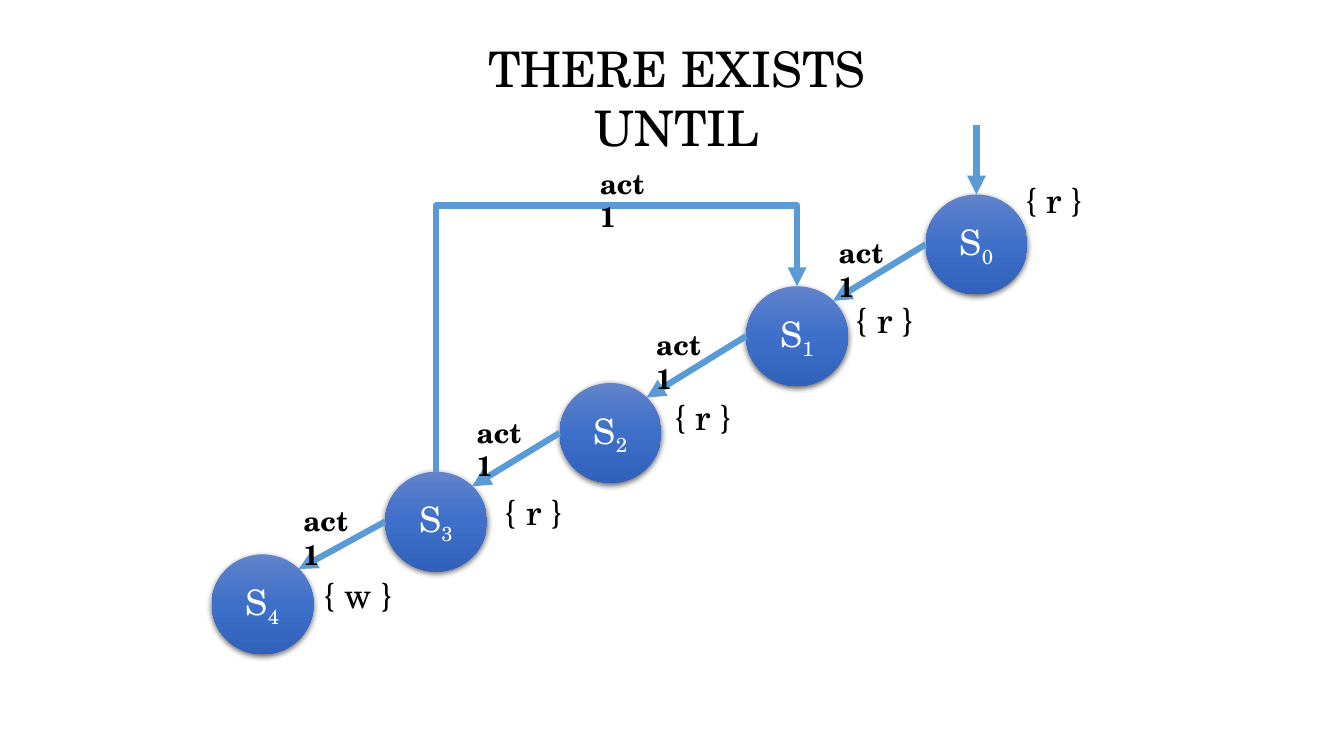
"""Builds a slide of a state chain that shows the 'there exists until' path."""
from dataclasses import dataclass
from math import sqrt

from lxml import etree
from pptx import Presentation
from pptx.dml.color import RGBColor
from pptx.enum.shapes import MSO_CONNECTOR, MSO_SHAPE
from pptx.enum.text import MSO_ANCHOR, MSO_AUTO_SIZE, PP_ALIGN
from pptx.oxml.ns import qn
from pptx.util import Inches, Pt

LINE, ELBOW = MSO_CONNECTOR.STRAIGHT, MSO_CONNECTOR.ELBOW
OVAL = MSO_SHAPE.OVAL
TOP, MIDDLE = MSO_ANCHOR.TOP, MSO_ANCHOR.MIDDLE
LEFT, CENTER = PP_ALIGN.LEFT, PP_ALIGN.CENTER
GROW = MSO_AUTO_SIZE.SHAPE_TO_FIT_TEXT

TITLE = ("THERE EXISTS UNTIL", (3.9, 0.33, 5.63, 0.69))
STATES = [
    ("0", (9.18, 1.93), "{ r }", (10.07, 1.72, 0.92)),
    ("1", (7.4, 2.84), "{ r }", (8.39, 2.91, 0.92)),
    ("2", (5.55, 3.8), "{ r }", (6.59, 3.87, 0.92)),
    ("3", (3.82, 4.68), "{ r }", (4.91, 4.82, 0.98)),
    ("4", (2.1, 5.5), "{ w }", (3.11, 5.64, 1.21)),
]
ACTION = "act1"
ACTS = [(8.22, 2.29), (6.41, 3.2), (4.63, 4.07), (2.91, 4.95), (5.85, 1.6)]
WIDE, HIGH = 1.01, 0.99
ENTRY, LOOP_TOP = 1.24, 2.04
LOOP_FROM, LOOP_TO = 3, 1


@dataclass(frozen=True)
class Theme:
    """Colours, type sizes and line width of the slide."""
    font: str = "TeX Gyre Schola"
    ink: str = "000000"
    pale: str = "FFFFFF"
    arrow: str = "5B9BD5"
    blend: tuple = ((0, "6183CB"), (50, "3E70CA"), (100, "3062BB"))
    head: int = 35
    body: int = 25
    act: int = 20
    width: float = 4.5


THEME = Theme()


def child(node, tag, **attrs):
    """Adds a child element with attributes."""
    return etree.SubElement(node, qn(tag), {k: str(v) for k, v in attrs.items()})


def add_run(para, text, size, color=THEME.ink, bold=False):
    """Adds one run of text in the theme font."""
    run = para.add_run()
    run.text = text
    font = run.font
    font.name, font.size, font.bold = THEME.font, Pt(size), bold
    font.color.rgb = RGBColor.from_string(color)
    return run


def fill_text(shape, text, size, align=LEFT, bold=False):
    """Writes one wrapped paragraph from the top of a shape."""
    frame = shape.text_frame
    frame.word_wrap, frame.auto_size = True, GROW
    frame.vertical_anchor = TOP
    para = frame.paragraphs[0]
    para.alignment = align
    add_run(para, text, size, bold=bold)


def add_label(slide, text, box, size, bold=False):
    """Adds a text box."""
    shape = slide.shapes.add_textbox(*map(Inches, box))
    fill_text(shape, text, size, bold=bold)


def add_state(slide, digit, spot):
    """Adds a shaded circle with a name and a subscript."""
    shape = slide.shapes.add_shape(OVAL, *map(Inches, (*spot, WIDE, HIGH)))
    shape.line.fill.background()
    shape.fill.gradient()
    shape.fill.gradient_angle = 270
    props = shape._element.spPr
    stops = props.find(".//" + qn("a:gsLst"))
    stops.clear()
    for place, color in THEME.blend:
        stop = child(stops, "a:gs", pos=place * 1000)
        child(stop, "a:srgbClr", val=color)
    shape.shadow.inherit = False
    shade = child(props.find(qn("a:effectLst")), "a:outerShdw", blurRad=Pt(4.5),
                  dist=Pt(1.5), dir=5400000, algn="ctr", rotWithShape=0)
    color = child(shade, "a:srgbClr", val=THEME.ink)
    child(color, "a:alpha", val=63000)
    frame = shape.text_frame
    frame.vertical_anchor = MIDDLE
    para = frame.paragraphs[0]
    para.alignment = CENTER
    add_run(para, "S", THEME.body, THEME.pale)
    sub = add_run(para, digit, THEME.body, THEME.pale)
    sub.font._element.set("baseline", "-25000")


def add_arrow(slide, start, end, kind=LINE):
    """Adds a connector with a triangle at its end."""
    arrow = slide.shapes.add_connector(kind, *map(Inches, (*start, *end)))
    arrow.line.color.rgb = RGBColor.from_string(THEME.arrow)
    arrow.line.width = Pt(THEME.width)
    child(arrow.line._get_or_add_ln(), "a:tailEnd", type="triangle")
    child(arrow._element.spPr, "a:effectLst")
    return arrow


def add_loop(slide, start, end):
    """Adds a bent arrow that rises, crosses and drops, as a turned elbow."""
    across, rise = end[0] - start[0], start[1] - end[1]
    mid_x, mid_y = (start[0] + end[0]) / 2, (start[1] + end[1]) / 2
    arrow = add_arrow(slide, (mid_x + rise / 2, mid_y + across / 2),
                      (mid_x - rise / 2, mid_y - across / 2), ELBOW)
    props = arrow._element.spPr
    props.find(qn("a:xfrm")).set("rot", "5400000")
    bend = round((start[1] - LOOP_TOP) / rise * 100000)
    guides = props.find(qn("a:prstGeom")).find(qn("a:avLst"))
    child(guides, "a:gd", name="adj1", fmla=f"val {bend}")


def top_of(spot):
    """Gives the top point of a circle."""
    return spot[0] + WIDE / 2, spot[1]


def main():
    """Builds and saves the slide."""
    deck = Presentation()
    deck.slide_width, deck.slide_height = Inches(13.33), Inches(7.5)
    slide = deck.slides.add_slide(deck.slide_layouts[5])
    text, box = TITLE
    title = slide.shapes.title
    title.left, title.top, title.width, title.height = map(Inches, box)
    fill_text(title, text, THEME.head, CENTER)

    spots = [state[1] for state in STATES]
    for digit, spot, note, place in STATES:
        add_state(slide, digit, spot)
        add_label(slide, note, (*place, 0.52), THEME.body)

    first = top_of(spots[0])
    add_arrow(slide, (first[0], ENTRY), first)
    reach = (1 + 1 / sqrt(2)) / 2
    for (x, y), (next_x, next_y) in zip(spots, spots[1:]):
        add_arrow(slide, (x, y + HIGH / 2),
                  (next_x + WIDE * reach, next_y + HIGH * (1 - reach)))
    add_loop(slide, top_of(spots[LOOP_FROM]), top_of(spots[LOOP_TO]))
    for place in ACTS:
        add_label(slide, ACTION, (*place, 0.72, 0.44), THEME.act, True)
    deck.save("out.pptx")


if __name__ == "__main__":
    main()
